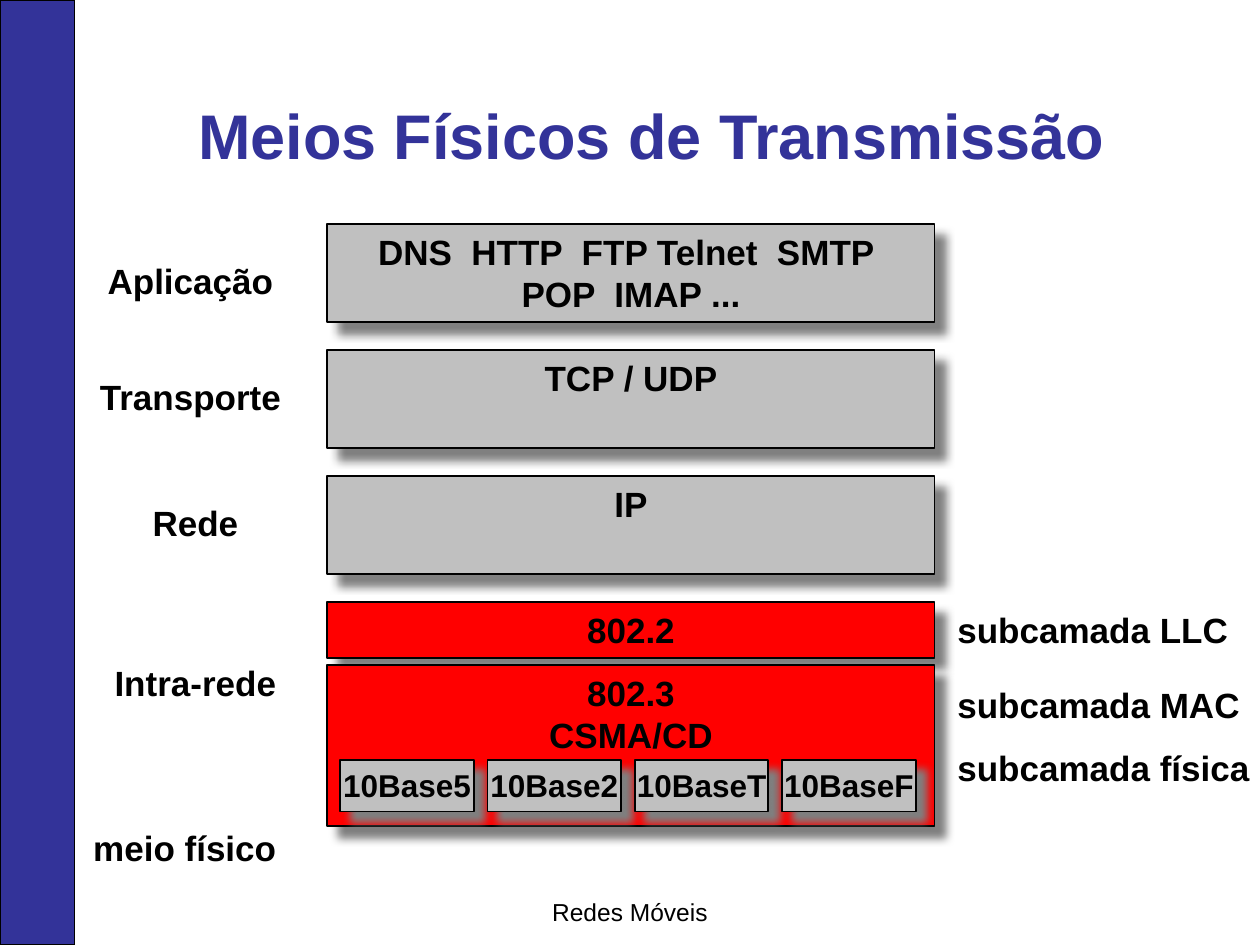
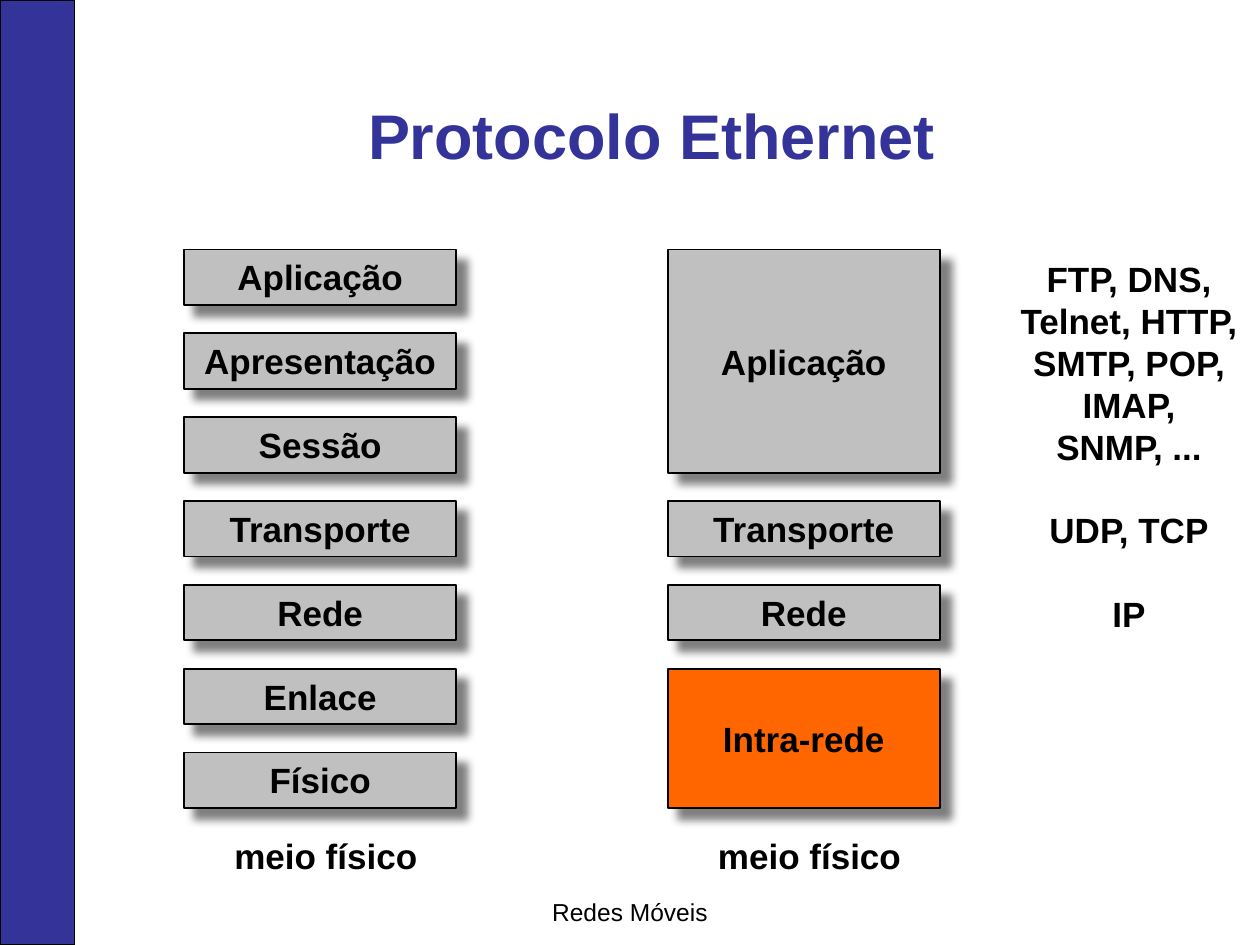
from lxml.etree import SubElement
from pptx import Presentation
from pptx.dml.color import RGBColor
from pptx.enum.shapes import MSO_SHAPE as Shape
from pptx.enum.text import MSO_ANCHOR as Anchor, PP_ALIGN as Align
from pptx.oxml.ns import qn
from pptx.util import Cm, Pt

NAVY, BLACK, GRAY = "333399", "000000", "C0C0C0"
RED, ORANGE, SHADE = "FF0000", "FF6600", "808080"
FONT = "Arial"
WIDTH, HEIGHT = 25.4, 19.05
ROW = 1.12


def color(code):
    return RGBColor.from_string(code)


class Deck:
    """Holds the shared style and the slide being filled."""

    def __init__(self):
        self.show = Presentation()
        self.show.slide_width, self.show.slide_height = Cm(WIDTH), Cm(HEIGHT)
        self.slide = None

    def begin(self, heading):
        self.slide = self.show.slides.add_slide(self.show.slide_layouts[6])
        self.rectangle(0, 0, 1.5, HEIGHT, NAVY, 0.75)
        self.label("Redes Móveis", 0, 17.96, WIDTH, 0.86, size=14, bold=False)
        self.label(heading, 1.07, 0.53, 24.13, 3.07, size=36, ink=NAVY,
                   anchor=Anchor.BOTTOM)

    def rectangle(self, left, top, width, height, fill, line):
        area = self.slide.shapes.add_shape(
            Shape.RECTANGLE, Cm(left), Cm(top), Cm(width), Cm(height))
        area.shadow.inherit = False
        area.fill.solid()
        area.fill.fore_color.rgb = color(fill)
        area.line.color.rgb = color(BLACK)
        area.line.width = Pt(line)
        return area

    def set_text(self, frame, text, size=20, ink=BLACK, bold=True,
                 align=Align.CENTER, anchor=Anchor.TOP, inset=0.25):
        frame.word_wrap = True
        frame.vertical_anchor = anchor
        frame.margin_left = frame.margin_right = Cm(inset)
        frame.margin_top = frame.margin_bottom = Cm(0.13)
        for index, line in enumerate(text.split("\n")):
            paragraph = frame.add_paragraph() if index else frame.paragraphs[0]
            paragraph.alignment = align
            run = paragraph.add_run()
            run.text = line
            run.font.name, run.font.size, run.font.bold = FONT, Pt(size), bold
            run.font.color.rgb = color(ink)

    def label(self, text, left, top, width, height=1.09, **style):
        area = self.slide.shapes.add_textbox(
            Cm(left), Cm(top), Cm(width), Cm(height))
        self.set_text(area.text_frame, text, **style)

    def layer(self, text, left, top, width, height=ROW, fill=GRAY, **style):
        block = self.rectangle(left, top, width, height, fill, 1)
        effects = block.element.spPr.find(qn("a:effectLst"))
        shadow = SubElement(
            effects, qn("a:outerShdw"), blurRad=str(Pt(5)), dist=str(Pt(8.5)),
            dir=str(45 * 60000), algn="ctr", rotWithShape="0")
        SubElement(shadow, qn("a:srgbClr"), val=SHADE)
        self.set_text(block.text_frame, text, **style)


def build_media(deck):
    deck.begin("Meios Físicos de Transmissão")
    left, top, width, step = 6.6, 4.52, 12.24, 2.54
    protocols = ["DNS  HTTP  FTP Telnet  SMTP  POP  IMAP ...", "TCP / UDP", "IP"]
    for index, protocol in enumerate(protocols):
        deck.layer(protocol, left, top + index * step, width, 1.98)
    llc_top = top + len(protocols) * step
    deck.layer("802.2", left, llc_top, width, fill=RED)
    deck.layer("802.3\nCSMA/CD", left, 13.41, width, 3.25, fill=RED)

    for index, medium in enumerate(["10Base5", "10Base2", "10BaseT", "10BaseF"]):
        deck.layer(medium, 6.86 + index * 2.97, 15.32, 2.69, 1.04,
                   size=18, inset=0)

    for name, name_top, name_width in [
            ("Aplicação", 5.11, 5.08), ("Transporte", 7.44, 5.08),
            ("Rede", 9.98, 5.28), ("Intra-rede", 13.21, 5.28),
            ("meio físico", 16.54, 4.85)]:
        deck.label(name, 1.3, name_top, name_width)

    for sublayer, sublayer_top in [
            ("LLC", llc_top), ("MAC", 13.64), ("física", 14.91)]:
        deck.label(f"subcamada {sublayer}", 19.3, sublayer_top, 6.1,
                   align=Align.LEFT, inset=0)


def build_ethernet(deck):
    deck.begin("Protocolo Ethernet")
    top, step, width = 5.03, 1.69, 5.49
    osi_left, internet_left = 3.71, 13.46
    osi = ["Aplicação", "Apresentação", "Sessão", "Transporte", "Rede",
           "Enlace", "Físico"]
    for row, name in enumerate(osi):
        deck.layer(name, osi_left, top + row * step, width)

    for name, row, rows, fill, protocols in [
            ("Aplicação", 0, 3, GRAY,
             "FTP, DNS, Telnet, HTTP, SMTP, POP, IMAP, SNMP, ..."),
            ("Transporte", 3, 1, GRAY, "UDP, TCP"),
            ("Rede", 4, 1, GRAY, "IP"),
            ("Intra-rede", 5, 2, ORANGE, None)]:
        row_top, height = top + row * step, (rows - 1) * step + ROW
        deck.layer(name, internet_left, row_top, width, height, fill,
                   anchor=Anchor.MIDDLE)
        if protocols:
            deck.label(protocols, 20.12, row_top + 0.03, 5.28, height)

    for left in (osi_left, internet_left):
        deck.label("meio físico", left, 16.69, 5.72)


def main():
    deck = Deck()
    build_media(deck)
    build_ethernet(deck)
    deck.show.save("out.pptx")


if __name__ == "__main__":
    main()
